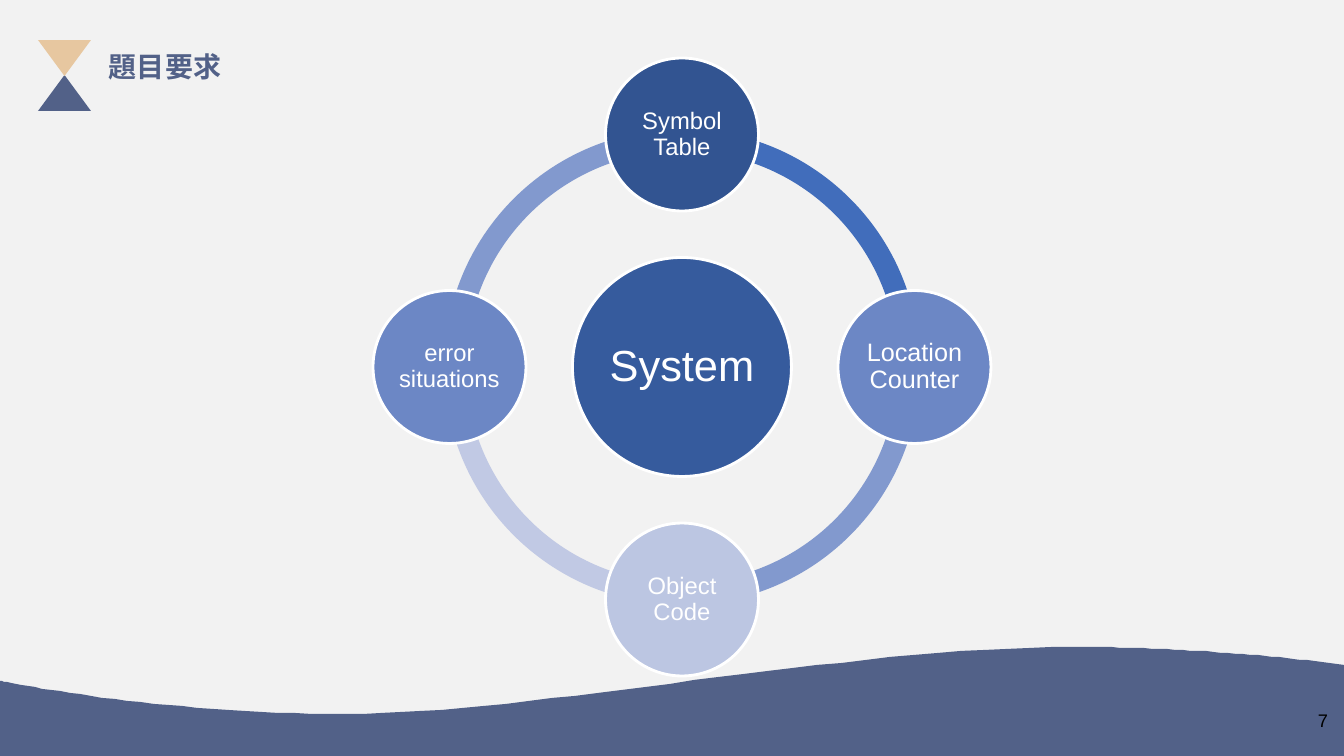
from lxml.etree import SubElement
from pptx import Presentation
from pptx.dml.color import RGBColor
from pptx.enum.shapes import MSO_SHAPE
from pptx.enum.text import MSO_ANCHOR, PP_ALIGN
from pptx.oxml.ns import qn
from pptx.util import Emu, Pt

WIDTH, HEIGHT = 1344, 756
SCALE = 12192000 / WIDTH  # EMU in one px

NAVY, SAND, WHITE, BLACK = "526188", "E7C7A0", "FFFFFF", "000000"


def px(length):
    return Emu(round(length * SCALE))


def color(value):
    return RGBColor.from_string(value)


def curve(start, first, second, end, steps=32):
    """Points along a cubic curve, without its start."""
    points = []
    for step in range(1, steps + 1):
        t = step / steps
        weights = ((1 - t) ** 3, 3 * t * (1 - t) ** 2, 3 * t * t * (1 - t), t ** 3)
        points.append(tuple(
            sum(weight * value for weight, value in zip(weights, axis))
            for axis in zip(start, first, second, end)))
    return points


class SlideBuilder:
    def __init__(self, slide, font="Arial"):
        self.slide = slide
        self.font = font

    def background(self, fill):
        background_fill = self.slide.background.fill
        background_fill.solid()
        background_fill.fore_color.rgb = color(fill)

    def paint(self, shape, fill, line=None):
        shape.shadow.inherit = False
        shape.fill.solid()
        shape.fill.fore_color.rgb = color(fill)
        if line:
            shape.line.color.rgb = color(line)
            shape.line.width = Pt(2)
        else:
            shape.line.fill.background()
        return shape

    def shape(self, kind, left, top, width, height, fill, line=None):
        shape = self.slide.shapes.add_shape(
            kind, px(left), px(top), px(width), px(height))
        return self.paint(shape, fill, line)

    def outline(self, points, fill):
        builder = self.slide.shapes.build_freeform(*points[0], scale=SCALE)
        builder.add_line_segments(points[1:], close=True)
        return self.paint(builder.convert_to_shape(), fill)

    def label(self, shape, text, size, fill, inset, align=PP_ALIGN.CENTER,
              anchor=MSO_ANCHOR.MIDDLE, spacing=None, font=None, bold=False):
        frame = shape.text_frame
        frame.word_wrap = True
        frame.vertical_anchor = anchor
        frame.margin_left = frame.margin_right = px(inset[0])
        frame.margin_top = frame.margin_bottom = px(inset[1])
        paragraph = frame.paragraphs[0]
        paragraph.text = text
        paragraph.alignment = align
        paragraph.line_spacing = spacing
        name = font or self.font
        paragraph.font.name = name
        paragraph.font.size = Pt(size)
        paragraph.font.bold = bold
        paragraph.font.color.rgb = color(fill)
        # East Asian typeface
        SubElement(paragraph._p.pPr.find(qn("a:defRPr")), qn("a:ea"), typeface=name)

    def text(self, left, top, width, height, text, size, fill, inset, **style):
        box = self.slide.shapes.add_textbox(px(left), px(top), px(width), px(height))
        self.label(box, text, size, fill, inset, anchor=MSO_ANCHOR.TOP, **style)

    def circle(self, center, diameter, fill, text, size, inset):
        left, top = (value - diameter / 2 for value in center)
        shape = self.shape(MSO_SHAPE.OVAL, left, top, diameter, diameter, fill, WHITE)
        self.label(shape, text, size, WHITE, (inset, inset), spacing=0.9)

    def arc(self, center, diameter, start, end, thickness, fill):
        left, top = (value - diameter / 2 for value in center)
        shape = self.shape(MSO_SHAPE.BLOCK_ARC, left, top, diameter, diameter, fill)
        # Angles are stored in 60000ths of a degree, adjustments in 100000ths
        shape.adjustments[0] = start * 0.6
        shape.adjustments[1] = end * 0.6
        shape.adjustments[2] = thickness / diameter


def main():
    presentation = Presentation()
    presentation.slide_width, presentation.slide_height = px(WIDTH), px(HEIGHT)
    builder = SlideBuilder(presentation.slides.add_slide(presentation.slide_layouts[6]))
    builder.background("F2F2F2")

    # Wave along the bottom
    left_end, trough, crest, right_end = (0, 681), (346, 714), (1073, 647), (1314, 661)
    wave = [left_end]
    wave += curve(left_end, left_end, (158, 714), trough)
    wave += curve(trough, (532, 714), (847, 647), crest)
    wave += curve(crest, (1157, 647), (1242, 653), right_end)
    wave += [(WIDTH, 665), (WIDTH, 759), (0, 759)]
    builder.outline(wave, NAVY)

    # Page number
    builder.text(1258, 699, 80, 57, "7", 13, BLACK, (10, 10), align=PP_ALIGN.RIGHT)

    # Hourglass and title
    builder.shape(MSO_SHAPE.ISOSCELES_TRIANGLE, 38, 75, 53, 36, NAVY)
    sand = builder.shape(MSO_SHAPE.ISOSCELES_TRIANGLE, 38, 40, 53, 36, SAND)
    sand.rotation = 180
    builder.text(99, 45, 229, 55, "題目要求", 20, NAVY, (10, 5),
                 align=PP_ALIGN.LEFT, font="Noto Sans CJK SC", bold=True)

    # Ring of quarter arcs
    center_x, center_y = center = (682, 367)
    for start, fill in ((180, "8299CE"), (90, "C1C9E4"), (0, "8299CE"), (270, "416DBB")):
        builder.arc(center, 476, start, (start + 90) % 360, 22, fill)

    # Hub and the four parts around it
    builder.circle(center, 219, "365B9D", "System", 31, 4)
    orbit = 232.5
    parts = (
        (0, -1, "325491", "Symbol Table", 17),
        (1, 0, "6C87C5", "Location Counter", 18),
        (0, 1, "BCC6E2", "Object Code", 17),
        (-1, 0, "6C87C5", "error situations", 17),
    )
    for across, down, fill, label, size in parts:
        place = (center_x + across * orbit, center_y + down * orbit)
        builder.circle(place, 153, fill, label, size, 2)

    presentation.save("out.pptx")


if __name__ == "__main__":
    main()
